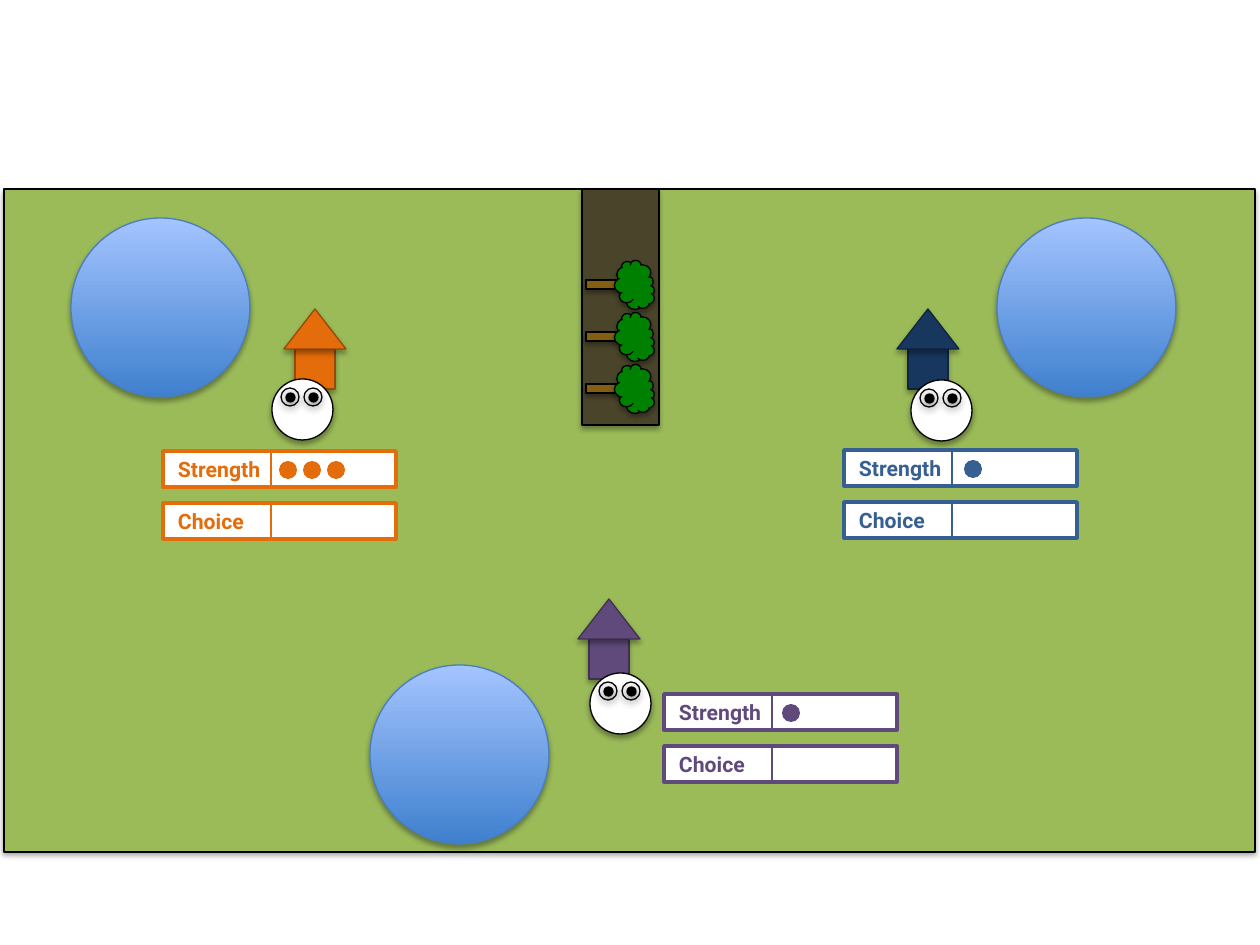
from lxml import etree
from pptx import Presentation
from pptx.dml.color import RGBColor
from pptx.enum.shapes import MSO_CONNECTOR, MSO_SHAPE
from pptx.enum.text import MSO_ANCHOR, PP_ALIGN
from pptx.oxml.ns import qn
from pptx.util import Pt

RECTANGLE, OVAL = MSO_SHAPE.RECTANGLE, MSO_SHAPE.OVAL
TRIANGLE, CLOUD = MSO_SHAPE.ISOSCELES_TRIANGLE, MSO_SHAPE.CLOUD
STRAIGHT = MSO_CONNECTOR.STRAIGHT
MIDDLE, LEFT = MSO_ANCHOR.MIDDLE, PP_ALIGN.LEFT
EMU_PER_PIXEL = 914400 / 126
COLORS = {
    "black": "000000", "white": "FFFFFF", "grass": "9BBB59", "soil": "4A452A",
    "trunk": "835E13", "leaves": "008000",
    "pond_low": "3F80CE", "pond_high": "A4C4FF", "pond_edge": "4B7EBC",
    "orange": "E46C0A", "orange_edge": "984807",
    "purple": "604A7B", "purple_edge": "403152",
    "navy": "17375E", "navy_edge": "0F243E", "blue": "376092",
}


def px(value):
    """Turn pixels into EMU."""
    return round(value * EMU_PER_PIXEL)


def rgb(name):
    """Look up a named colour."""
    return RGBColor.from_string(COLORS[name])


class Board:
    """Draws the elements of the game board on one slide."""

    font = "Roboto"
    font_size = Pt(12.1)

    def __init__(self, slide):
        self.slide = slide

    def shape(self, kind, left, top, width, height, fill=None, edge="black",
              weight=0.75, shadow=True, parent=None, rotation=0):
        """Add a preset shape to the slide or to a group."""
        shapes = (parent or self.slide).shapes
        shape = shapes.add_shape(kind, px(left), px(top), px(width), px(height))
        shape.rotation = rotation
        if fill:
            shape.fill.solid()
            shape.fill.fore_color.rgb = rgb(fill)
        else:
            shape.fill.background()
        if edge:
            shape.line.color.rgb = rgb(edge)
            shape.line.width = Pt(weight)
        else:
            shape.line.fill.background()
        shape.shadow.inherit = False
        if shadow:
            self.cast_shadow(shape)
        return shape

    def cast_shadow(self, shape):
        """Give a shape a soft shadow below."""
        effects = shape.element.spPr.find(qn("a:effectLst"))
        outer = etree.SubElement(
            effects, qn("a:outerShdw"), blurRad=str(Pt(3.1)), dist=str(Pt(1.8)),
            dir="5400000", rotWithShape="0")
        color = etree.SubElement(outer, qn("a:srgbClr"), val=COLORS["black"])
        etree.SubElement(color, qn("a:alpha"), val="35000")

    def arrow(self, left, top, color):
        """Add an upward arrow made of a shaft and a head."""
        edge = f"{color}_edge"
        self.shape(RECTANGLE, left + 11, top + 40, 40, 40, color, edge)
        self.shape(TRIANGLE, left, top, 62, 40, color, edge)

    def pond(self, left, top):
        """Add a round pond with a vertical gradient."""
        pond = self.shape(OVAL, left, top, 179, 179, "white", "pond_edge")
        pond.fill.gradient()
        pond.fill.gradient_angle = 90
        for stop, color, position in zip(
                pond.fill.gradient_stops, ("pond_low", "pond_high"), (0, 1)):
            stop.color.rgb = rgb(color)
            stop.position = position

    def face(self, left, top):
        """Add a grouped face with two eyes."""
        group = self.slide.shapes.add_group_shape()
        self.shape(OVAL, left, top, 61, 61, "white", parent=group)
        for offset, size, fill in ((9, 18, None), (14, 9, "black")):
            for gap in (0, 23):
                self.shape(OVAL, left + offset + gap, top + offset, size, size,
                           fill, parent=group)

    def tree(self, left, top):
        """Add a grouped tree lying on its side."""
        group = self.slide.shapes.add_group_shape()
        self.shape(RECTANGLE, left, top, 9, 47, "trunk", parent=group, rotation=90)
        self.shape(CLOUD, left + 5, top + 4, 49, 40, "leaves", parent=group,
                   rotation=90)

    def line(self, left, top, height, color):
        """Add a vertical divider."""
        line = self.slide.shapes.add_connector(
            STRAIGHT, px(left), px(top), px(left), px(top + height))
        line.line.color.rgb = rgb(color)
        line.line.width = Pt(1.5)
        etree.SubElement(line.element.spPr, qn("a:effectLst"))

    def field(self, left, top, label, color):
        """Add a labelled box with a divider."""
        box = self.shape(RECTANGLE, left, top, 233, 36, "white", color, 2, False)
        frame = box.text_frame
        frame.margin_left = frame.margin_right = px(15)
        frame.margin_top = frame.margin_bottom = px(8)
        frame.vertical_anchor = MIDDLE
        paragraph = frame.paragraphs[0]
        paragraph.alignment = LEFT
        run = paragraph.add_run()
        run.text = label
        run.font.name = self.font
        run.font.size = self.font_size
        run.font.bold = True
        run.font.color.rgb = rgb(color)
        self.line(left + 108, top, 36, color)

    def card(self, left, top, color, strength, dot_offset):
        """Add a player's strength and choice boxes."""
        for row, label in enumerate(("Strength", "Choice")):
            self.field(left, top + 52 * row, label, color)
        for index in range(strength):
            self.shape(OVAL, left + dot_offset + 24 * index, top + 10, 18, 18,
                       color, None, shadow=False)


presentation = Presentation()
presentation.slide_width, presentation.slide_height = px(1260), px(945)
board = Board(presentation.slides.add_slide(presentation.slide_layouts[6]))

board.shape(RECTANGLE, 4, 189, 1251, 663, "grass")
for left, top, color in ((284, 309, "orange"), (578, 599, "purple"),
                         (897, 309, "navy")):
    board.arrow(left, top, color)
for left, top in ((71, 218), (370, 665), (997, 218)):
    board.pond(left, top)
board.shape(RECTANGLE, 582, 189, 77, 236, "soil")
for left, top in ((272, 379), (911, 380), (590, 673)):
    board.face(left, top)
for left, top, color, strength, dot_offset in (
        (163, 451, "orange", 3, 116), (664, 694, "purple", 1, 118),
        (844, 450, "blue", 1, 120)):
    board.card(left, top, color, strength, dot_offset)
for row in range(3):
    board.tree(605, 261 + 52 * row)

presentation.save("out.pptx")
